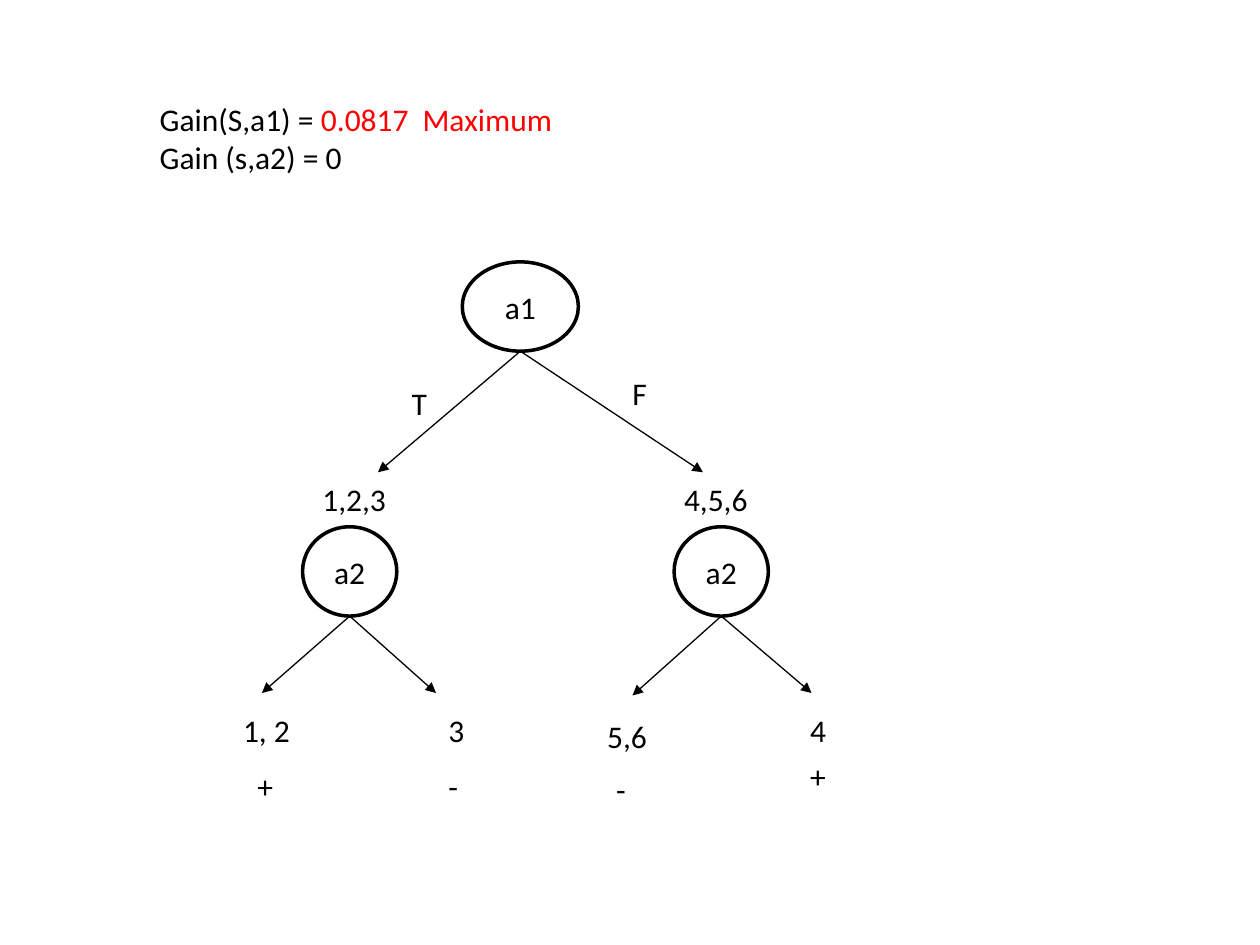
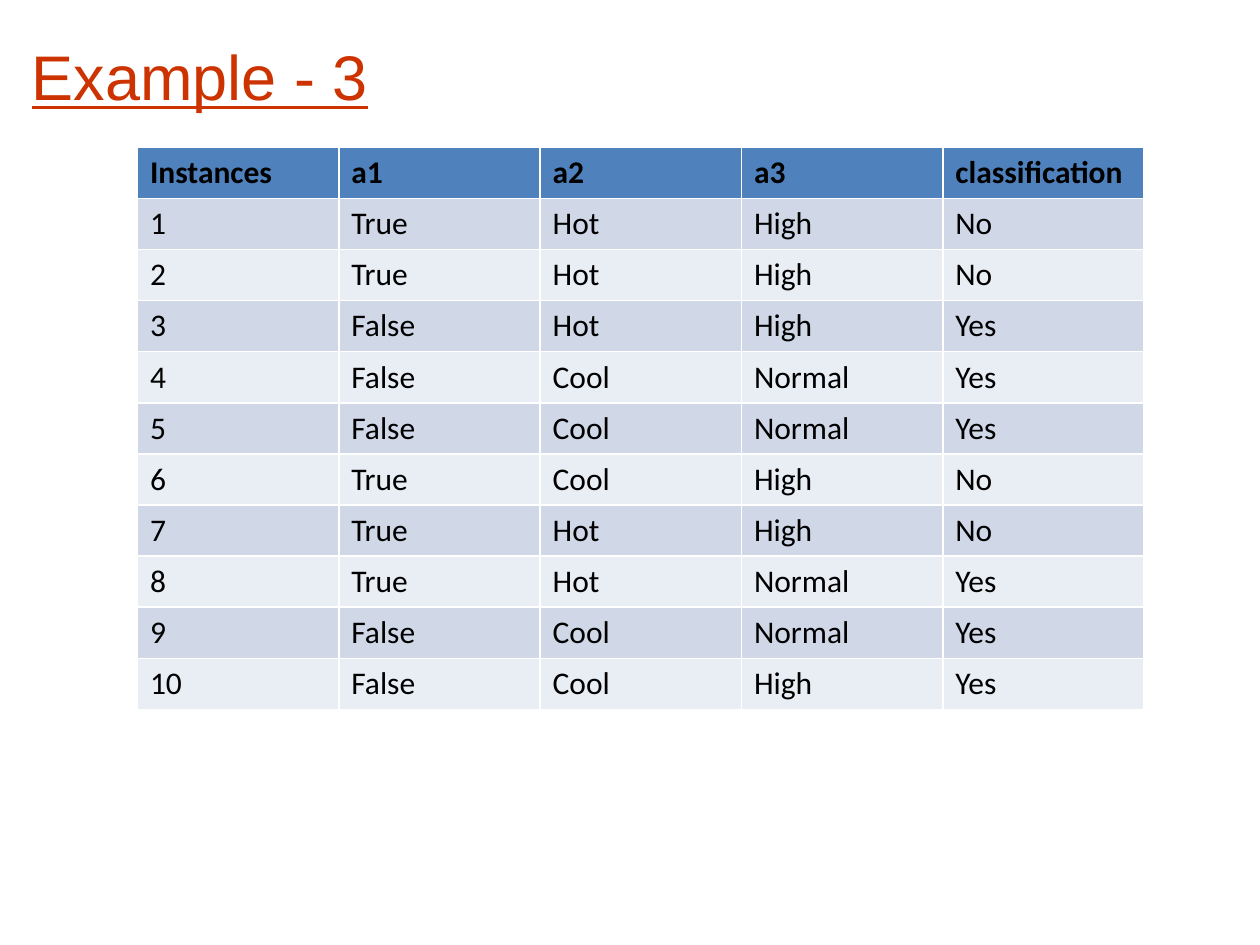
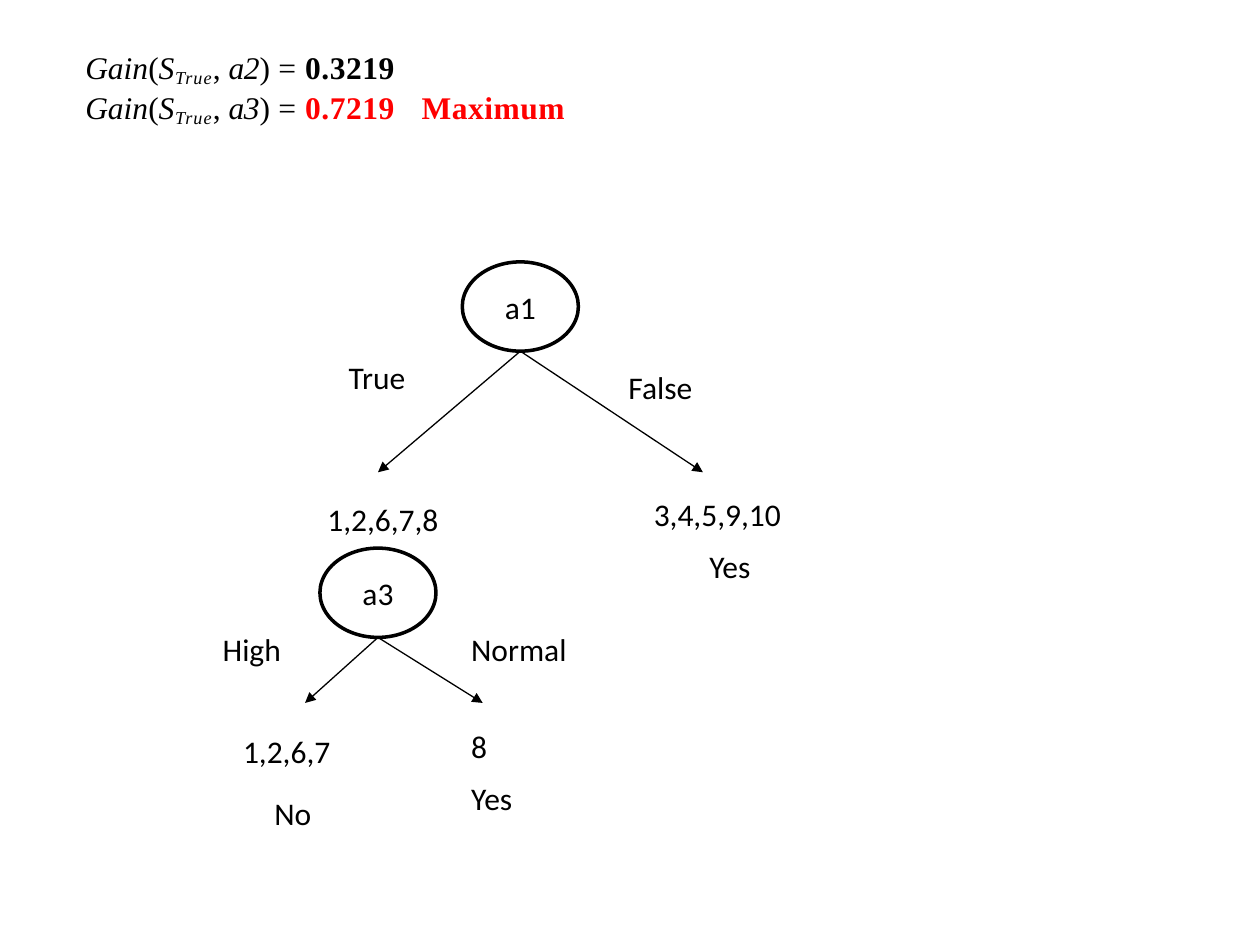
from lxml import etree
from pptx import Presentation
from pptx import util as u
from pptx.dml.color import RGBColor
from pptx.enum import shapes, text
from pptx.oxml import ns

# Shared style
BLACK = RGBColor(0x00, 0x00, 0x00)
WHITE = RGBColor(0xFF, 0xFF, 0xFF)
RED = RGBColor(0xFF, 0x00, 0x00)
TITLE_RED = RGBColor(0xCC, 0x33, 0x00)
HEADER_BLUE = RGBColor(0x4F, 0x81, 0xBD)
BANDS = (RGBColor(0xD0, 0xD8, 0xE8), RGBColor(0xE9, 0xED, 0xF4))
BODY_FONT = "Calibri"
TITLE_FONT = "Arial"
FORMULA_FONT = "Times New Roman"
TITLE_ONLY, BLANK = 5, 6
NODE_HEIGHT = 1.8
LABEL_HEIGHT = 1.02

# Slide 1: node label, centre, top, width, ends of its branches
FIRST_NODES = [
    ("a1", 10.49, 5.28, 2.34, [(7.62, 9.52), (14.17, 9.52)]),
    ("a2", 7.05, 10.62, 1.9, [(5.28, 13.97), (8.79, 13.97)]),
    ("a2", 14.54, 10.62, 1.9, [(12.75, 14.02), (16.36, 13.97)]),
]
# Label, left, top, width
FIRST_LABELS = [
    ("T", 8.05, 7.62, 0.74), ("F", 12.5, 7.42, 0.84),
    ("1,2,3", 6.25, 9.55, 1.9), ("4,5,6", 13.54, 9.55, 2.11),
    ("1, 2", 4.65, 14.2, 1.9), ("3", 8.79, 14.2, 0.97),
    ("5,6", 11.99, 14.33, 1.42), ("4", 16.08, 14.2, 1.75),
    ("+", 4.94, 15.34, 1.31), ("-", 8.79, 15.34, 1.17),
    ("-", 12.17, 15.39, 1.42), ("+", 16.08, 15.14, 1.42),
]

# Slide 2
INSTANCES = [
    ("Instances", "a1", "a2", "a3", "classification"),
    ("1", "True", "Hot", "High", "No"),
    ("2", "True", "Hot", "High", "No"),
    ("3", "False", "Hot", "High", "Yes"),
    ("4", "False", "Cool", "Normal", "Yes"),
    ("5", "False", "Cool", "Normal", "Yes"),
    ("6", "True", "Cool", "High", "No"),
    ("7", "True", "Hot", "High", "No"),
    ("8", "True", "Hot", "Normal", "Yes"),
    ("9", "False", "Cool", "Normal", "Yes"),
    ("10", "False", "Cool", "High", "Yes"),
]

# Slide 3
SECOND_NODES = [
    ("a1", 10.49, 5.28, 2.34, [(7.62, 9.52), (14.17, 9.52)]),
    ("a3", 7.62, 11.05, 2.34, [(6.15, 14.17), (9.73, 14.17)]),
]
SECOND_LABELS = [
    ("True", 6.78, 7.09, 2.11), ("False", 12.42, 7.29, 2.11),
    ("1,2,6,7,8", 6.35, 9.96, 3.18), ("3,4,5,9,10", 12.93, 9.86, 3.18),
    ("High", 4.24, 12.57, 2.74), ("Normal", 9.25, 12.57, 3.38),
    ("1,2,6,7", 4.65, 14.63, 2.34), ("8", 9.25, 14.53, 1.24),
    ("No", 5.28, 15.88, 1.47), ("Yes", 9.25, 15.57, 1.47),
    ("Yes", 14.05, 10.9, 1.93),
]


def style_run(run, font=BODY_FONT, size=18, color=BLACK, bold=False,
              italic=False, spacing=0, baseline=0):
    run.font.name = font
    run.font.size = u.Pt(size)
    run.font.color.rgb = color
    run.font.bold = bold
    run.font.italic = italic
    properties = run._r.get_or_add_rPr()
    if spacing:
        properties.set("spc", str(spacing))
    if baseline:
        properties.set("baseline", str(baseline))


def add_text_box(slide, left, top, width, height):
    box = slide.shapes.add_textbox(u.Cm(left), u.Cm(top), u.Cm(width), u.Cm(height))
    box.text_frame.word_wrap = True
    box.text_frame.auto_size = text.MSO_AUTO_SIZE.SHAPE_TO_FIT_TEXT
    return box.text_frame


def add_label(slide, label, left, top, width):
    paragraph = add_text_box(slide, left, top, width, LABEL_HEIGHT).paragraphs[0]
    paragraph.text = label
    style_run(paragraph.runs[0])


def add_lines(slide, lines, left, top, width, tab):
    """Write lines of (text, style) runs, with one tab stop for the remark."""
    frame = add_text_box(slide, left, top, width, NODE_HEIGHT)
    for index, line in enumerate(lines):
        paragraph = frame.add_paragraph() if index else frame.paragraphs[0]
        stops = etree.SubElement(paragraph._p.get_or_add_pPr(), ns.qn("a:tabLst"))
        etree.SubElement(stops, ns.qn("a:tab"), pos=str(u.Cm(tab)), algn="l")
        for content, style in line:
            run = paragraph.add_run()
            run.text = content
            style_run(run, **style)


def add_node(slide, label, center, top, width):
    node = slide.shapes.add_shape(
        shapes.MSO_SHAPE.OVAL, u.Cm(center - width / 2), u.Cm(top),
        u.Cm(width), u.Cm(NODE_HEIGHT))
    node.shadow.inherit = False
    node.fill.solid()
    node.fill.fore_color.rgb = WHITE
    node.line.color.rgb = BLACK
    node.line.width = u.Pt(2)
    node.text_frame.text = label
    node.text_frame.vertical_anchor = text.MSO_ANCHOR.MIDDLE
    paragraph = node.text_frame.paragraphs[0]
    paragraph.alignment = text.PP_ALIGN.CENTER
    style_run(paragraph.runs[0])


def add_branch(slide, start, end):
    branch = slide.shapes.add_connector(
        shapes.MSO_CONNECTOR.STRAIGHT, *(u.Cm(value) for value in start + end))
    branch.line.color.rgb = BLACK
    branch.line.width = u.Pt(0.75)
    etree.SubElement(branch.line._get_or_add_ln(), ns.qn("a:tailEnd"), type="triangle")
    etree.SubElement(branch._element.spPr, ns.qn("a:effectLst"))


def add_tree(slide, nodes, labels):
    for label, center, top, width, ends in nodes:
        add_node(slide, label, center, top, width)
        for end in ends:
            add_branch(slide, (center, top + NODE_HEIGHT), end)
    for label in labels:
        add_label(slide, *label)


def set_title(slide, title):
    shape = slide.shapes.title
    shape.left, shape.top = u.Cm(0.64), u.Cm(0.64)
    shape.width, shape.height = u.Cm(23.55), u.Cm(1.55)
    frame = shape.text_frame
    frame.text = title
    frame.margin_left = frame.margin_right = frame.margin_bottom = 0
    frame.margin_top = u.Cm(0.12)
    frame.vertical_anchor = text.MSO_ANCHOR.TOP
    frame.auto_size = text.MSO_AUTO_SIZE.NONE
    paragraph = frame.paragraphs[0]
    paragraph.alignment = text.PP_ALIGN.LEFT
    style_run(paragraph.runs[0], TITLE_FONT, 36, TITLE_RED)
    paragraph.runs[0].font.underline = True


def add_instance_table(slide, rows, left, top, column_width, row_height):
    columns = len(rows[0])
    table = slide.shapes.add_table(
        len(rows), columns, u.Cm(left), u.Cm(top),
        u.Cm(column_width * columns), u.Cm(row_height * len(rows))).table
    for row_index, row in enumerate(rows):
        header = row_index == 0
        for column_index, value in enumerate(row):
            cell = table.cell(row_index, column_index)
            cell.fill.solid()
            cell.fill.fore_color.rgb = HEADER_BLUE if header else BANDS[(row_index - 1) % 2]
            cell.text_frame.text = value
            style_run(cell.text_frame.paragraphs[0].runs[0], bold=header)


def gain_line(attribute, value, color=BLACK):
    """Runs of one Gain(S_True, attribute) = value formula."""
    plain = {"font": FORMULA_FONT}
    slanted = {**plain, "italic": True}
    return [
        ("Gain", slanted),
        ("(", {**plain, "spacing": -10}),
        ("S", {**slanted, "spacing": 40}),
        ("True", {**slanted, "spacing": 60, "baseline": -16000}),
        (", ", plain),
        (attribute, {**slanted, "spacing": -30}),
        (")", plain),
        (" = ", {**plain, "spacing": 30}),
        (value, {**plain, "spacing": 30, "bold": True, "color": color}),
    ]


def main():
    presentation = Presentation()
    presentation.slide_width, presentation.slide_height = u.Cm(25.4), u.Cm(19.05)
    layouts = presentation.slide_layouts

    # First tree
    slide = presentation.slides.add_slide(layouts[BLANK])
    gains = [
        [("Gain(S,a1) = ", {}), ("0.0817\tMaximum", {"color": RED})],
        [("Gain (s,a2) = 0", {})],
    ]
    add_lines(slide, gains, 2.97, 1.9, 10.16, tab=5.3)
    add_tree(slide, FIRST_NODES, FIRST_LABELS)

    # Instances of the third example
    slide = presentation.slides.add_slide(layouts[TITLE_ONLY])
    set_title(slide, "Example - 3")
    add_instance_table(slide, INSTANCES, 2.77, 2.97, 4.06, 1.03)

    # Second tree
    slide = presentation.slides.add_slide(layouts[BLANK])
    gains = [gain_line("a2", "0.3219"), gain_line("a3", "0.7219\tMaximum", RED)]
    add_lines(slide, gains, 1.47, 0.84, 12.7, tab=6.78)
    add_tree(slide, SECOND_NODES, SECOND_LABELS)

    presentation.save("out.pptx")


if __name__ == "__main__":
    main()
